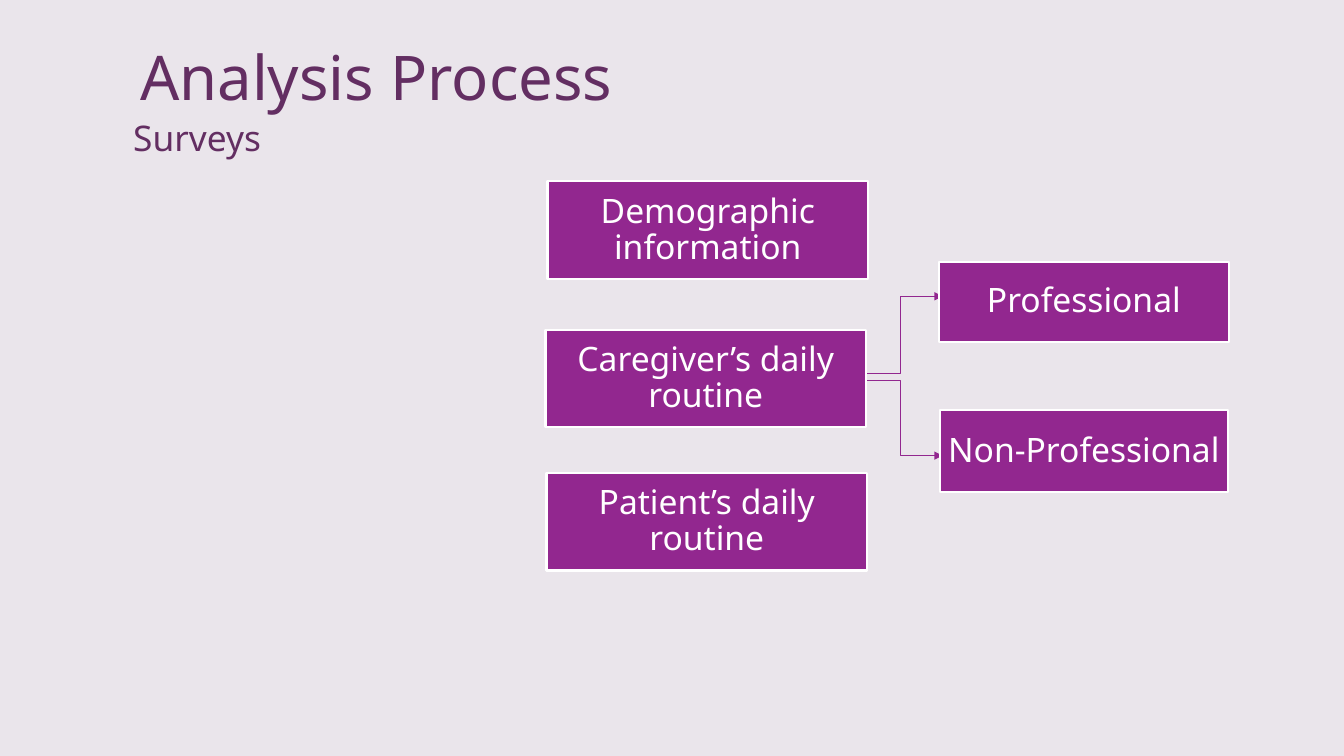
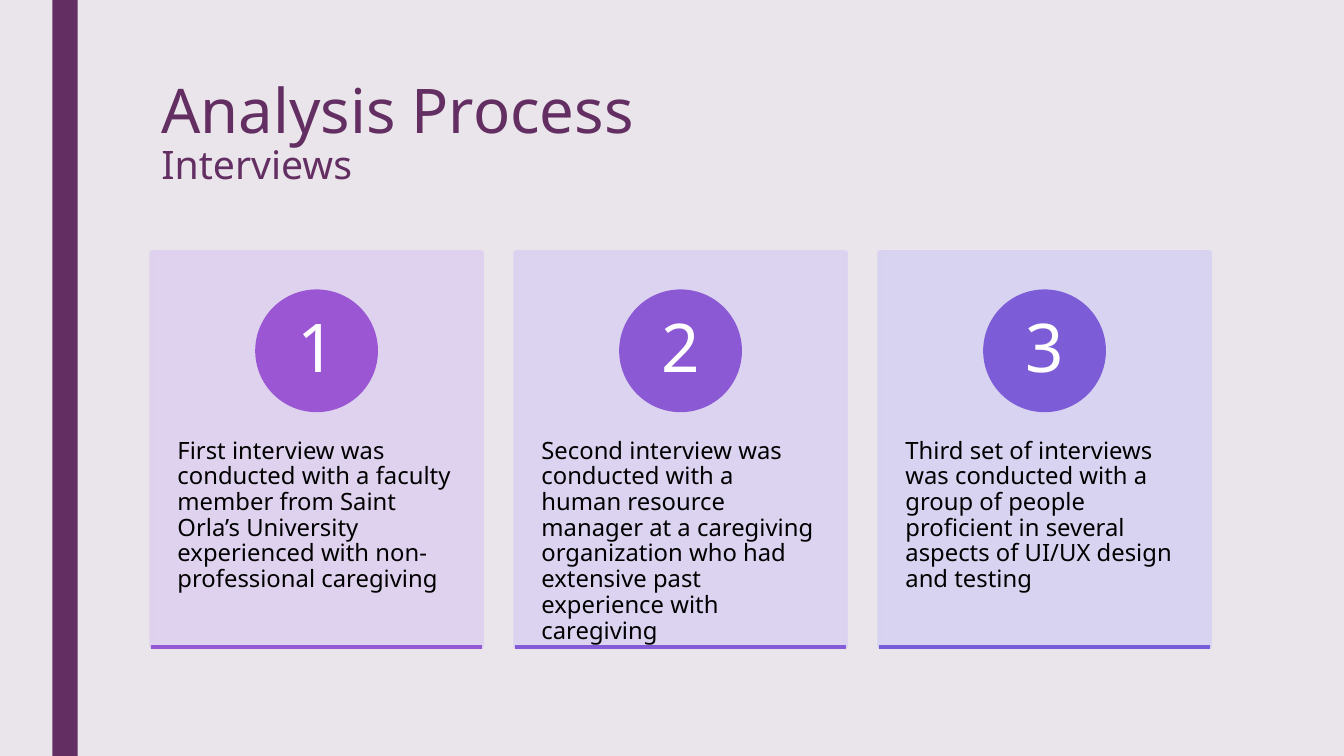
from pptx import Presentation
from pptx.dml.color import RGBColor
from pptx.enum import shapes, text
from pptx.oxml import ns, xmlchemy
from pptx.util import Inches, Pt

FONT = "Noto Sans"
PAPER, PLUM, VIOLET, WHITE, BLACK = "EAE5EB", "632E62", "92278F", "FFFFFF", "000000"
TITLE_SPACING, BODY_SPACING = 0.89, 0.9
TITLE_INSETS = (0.1, 0.05, 0.1, 0.05)
LEFT, CENTER = text.PP_ALIGN.LEFT, text.PP_ALIGN.CENTER
TOP, MIDDLE = text.MSO_ANCHOR.TOP, text.MSO_ANCHOR.MIDDLE

# Survey slide: wording and place (left, top, width, height) of each box
SURVEY_BOXES = [
    ("Demographic information", (5.43, 1.8, 3.18, 0.97)),
    ("Caregiver’s daily routine", (5.41, 3.27, 3.18, 0.97)),
    ("Professional", (9.31, 2.6, 2.88, 0.79)),
    ("Non-Professional", (9.32, 4.07, 2.86, 0.81)),
    ("Patient’s daily routine", (5.42, 4.69, 3.18, 0.97)),
]
ARROWS = [((8.51, 3.77), (9.35, 4.52)), ((8.51, 3.7), (9.35, 2.94))]

# Interview slide: wording, card colour, circle colour, rule colour
INTERVIEWS = [
    ("First interview was conducted with a faculty member from Saint Orla’s "
     "University experienced with non-professional caregiving",
     "DED1EF", "9B57D3", "9358D4"),
    ("Second interview was conducted with a human resource manager at a "
     "caregiving organization who had extensive past experience with caregiving",
     "DAD2F0", "8C59D5", "845BD7"),
    ("Third set of interviews was conducted with a group of people proficient "
     "in several aspects of UI/UX design and testing",
     "D6D2F1", "7D5CD8", "755DD9"),
]
CARD_LEFT, CARD_TOP, CARD_WIDTH, CARD_HEIGHT, CARD_STEP = 1.5, 2.5, 3.28, 3.92, 3.61
CIRCLE_SIZE, CIRCLE_DROP = 1.18, 0.39
CARD_INSETS = (0.26, 1.85, 0.26, 0.36)


def rgb(code):
    """Turn a hex string into a colour."""
    return RGBColor.from_string(code)


def add_xml(parent, tag, **attributes):
    """Append a drawing element with the given attributes."""
    child = xmlchemy.OxmlElement(tag)
    for name, value in attributes.items():
        child.set(name, value)
    parent.append(child)


def write(holder, spans, color, align=LEFT, anchor=TOP, insets=TITLE_INSETS,
          spacing=BODY_SPACING):
    """Write (wording, size) spans, one line each, into a text holder."""
    frame = holder.text_frame
    margins = dict(zip(("left", "top", "right", "bottom"), insets))
    formats = {f"margin_{side}": Inches(size) for side, size in margins.items()}
    formats.update(word_wrap=True, auto_size=text.MSO_AUTO_SIZE.NONE,
                   vertical_anchor=anchor)
    for name, value in formats.items():
        setattr(frame, name, value)
    para = frame.paragraphs[0]
    para.alignment, para.line_spacing = align, spacing
    for index, (wording, size) in enumerate(spans):
        if index:
            para.add_line_break()
        span = para.add_run()
        span.text = wording
        for name, value in {"name": FONT, "size": Pt(size)}.items():
            setattr(span.font, name, value)
        span.font.color.rgb = rgb(color)


def add_box(page, place, fill, line=None, width=0, kind="RECTANGLE", opacity=None):
    """Add a filled preset shape, outlined when a line colour is given."""
    box = page.shapes.add_shape(getattr(shapes.MSO_SHAPE, kind), *map(Inches, place))
    box.shadow.inherit = False
    box.fill.solid()
    box.fill.fore_color.rgb = rgb(fill)
    if line:
        box.line.color.rgb = rgb(line)
        box.line.width = Pt(width)
    else:
        box.line.fill.background()
    if opacity:
        for color in box._element.spPr.iter(ns.qn("a:srgbClr")):
            add_xml(color, "a:alpha", val=str(opacity * 1000))
    return box


def add_line(page, start, end, color, width, kind="STRAIGHT", arrow=False):
    """Add a connector, with an arrowhead at its end if asked."""
    line = page.shapes.add_connector(getattr(shapes.MSO_CONNECTOR, kind),
                                     *map(Inches, start + end))
    line.line.color.rgb = rgb(color)
    line.line.width = Pt(width)
    if arrow:
        add_xml(line.line._get_or_add_ln(), "a:tailEnd", type="triangle")
    add_xml(line._element.spPr, "a:effectLst")


def add_page(deck, place, spans, **layout):
    """Add a title-only slide with its title placed and styled."""
    page = deck.slides.add_slide(deck.slide_layouts[5])
    title = page.shapes.title
    for name, value in zip(("left", "top", "width", "height"), place):
        setattr(title, name, Inches(value))
    write(title, spans, PLUM, spacing=TITLE_SPACING, **layout)
    return page


def build_surveys(deck):
    """Build the survey diagram."""
    page = add_page(deck, (0.15, 1.14, 3.61, 0.5), [("Surveys", 25.2)],
                    align=CENTER, anchor=MIDDLE)
    for start, end in ARROWS:
        add_line(page, start, end, VIOLET, 0.5, "ELBOW", arrow=True)
    heading = page.shapes.add_textbox(*map(Inches, (1.29, 0.43, 7.92, 1.22)))
    write(heading, [("Analysis Process", 44)], PLUM, spacing=TITLE_SPACING)
    for wording, place in SURVEY_BOXES:
        box = add_box(page, place, VIOLET, WHITE, 1.5)
        write(box, [(wording, 24)], WHITE, CENTER, MIDDLE, (0.02,) * 4)


def build_interviews(deck):
    """Build the row of numbered interview cards."""
    page = add_page(deck, (1.5, 0.75, 10.5, 1.62),
                    [("Analysis Process", 44), ("Interviews", 28)])
    add_box(page, (0.52, 0, 0.25, 7.5), PLUM)
    for index, (wording, card_color, circle_color, rule_color) in enumerate(INTERVIEWS):
        left = CARD_LEFT + index * CARD_STEP
        bottom = CARD_TOP + CARD_HEIGHT
        card = add_box(page, (left, CARD_TOP, CARD_WIDTH, CARD_HEIGHT),
                       card_color, card_color, 2.75, opacity=90)
        write(card, [(wording, 17)], BLACK, insets=CARD_INSETS)
        circle_left = left + (CARD_WIDTH - CIRCLE_SIZE) / 2
        circle = add_box(page, (circle_left, CARD_TOP + CIRCLE_DROP,
                                CIRCLE_SIZE, CIRCLE_SIZE),
                         circle_color, circle_color, 2.75, "OVAL")
        write(circle, [(str(index + 1), 48)], WHITE, CENTER, MIDDLE,
              (0.09, 0.01, 0.09, 0.01))
        add_line(page, (left, bottom), (left + CARD_WIDTH, bottom), rule_color, 2.75)


def main():
    """Build and save the deck."""
    deck = Presentation()
    deck.slide_width, deck.slide_height = Inches(13.33), Inches(7.5)
    backdrop = deck.slide_master.background.fill
    backdrop.solid()
    backdrop.fore_color.rgb = rgb(PAPER)
    build_surveys(deck)
    build_interviews(deck)
    deck.save("out.pptx")


main()
